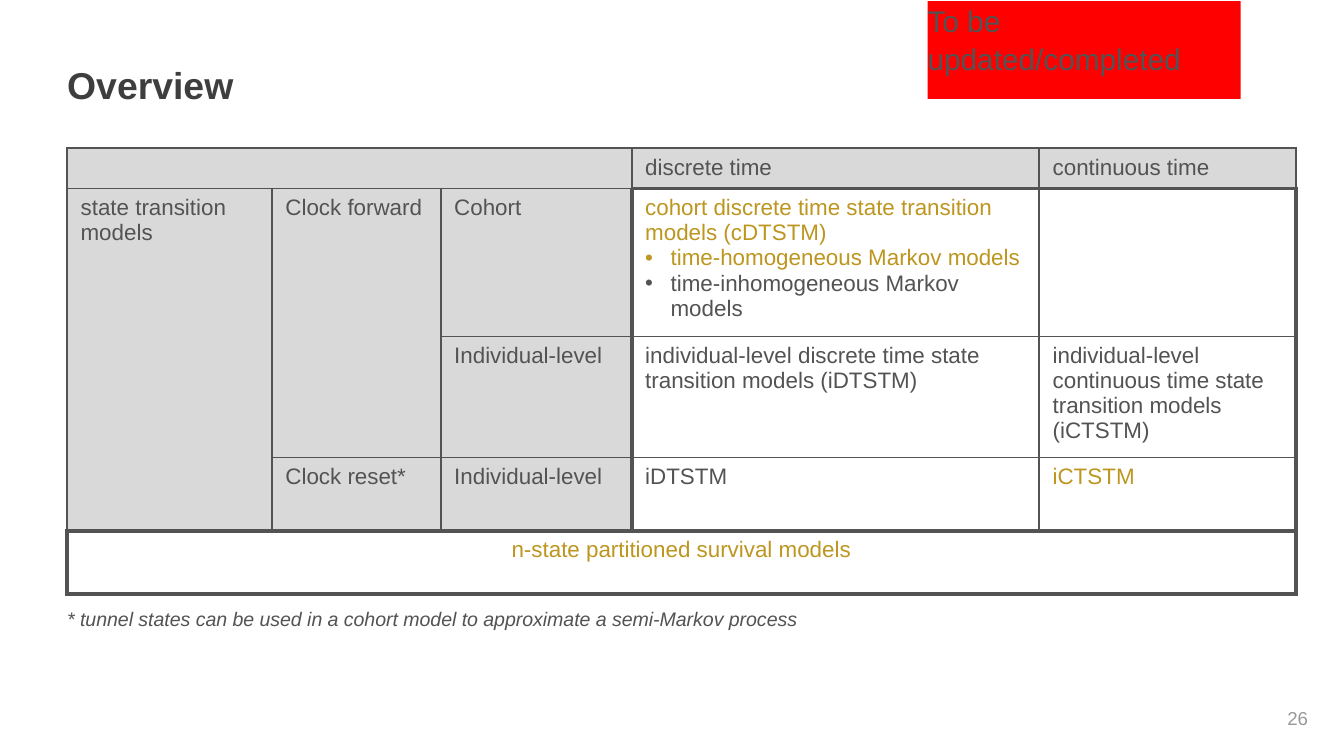
from lxml import etree
from pptx import Presentation
from pptx.dml.color import RGBColor
from pptx.enum.shapes import MSO_SHAPE
from pptx.enum.text import MSO_ANCHOR, PP_ALIGN
from pptx.oxml.ns import qn
from pptx.util import Cm, Pt

RECTANGLE = MSO_SHAPE.RECTANGLE
LEFT, CENTER, RIGHT = PP_ALIGN.LEFT, PP_ALIGN.CENTER, PP_ALIGN.RIGHT
TOP, MIDDLE = MSO_ANCHOR.TOP, MSO_ANCHOR.MIDDLE

COLORS = {
    "text": "535353", "title": "3E3E3E", "gold": "BD961F", "number": "999999",
    "header": "D9D9D9", "body": "FFFFFF", "alert": "FF0000",
}
COLUMN_WIDTHS = [3.87, 3.19, 3.61, 7.7, 4.85]
ROW_HEIGHTS = [0.72, 2.62, 2.16, 1.38, 1.2]
LABELS = [
    ["", "", "", "discrete time", "continuous time"],
    ["state transition models", "Clock forward", "Cohort",
     "cohort discrete time state transition models (cDTSTM)\n"
     "time-homogeneous Markov models\ntime-inhomogeneous Markov models", ""],
    ["", "", "Individual-level",
     "individual-level discrete time state transition models (iDTSTM)",
     "individual-level continuous time state transition models (iCTSTM)"],
    ["", "Clock reset*", "Individual-level", "iDTSTM", "iCTSTM"],
    ["n-state partitioned survival models", "", "", "", ""],
]
GOLD_TEXTS = {
    "cohort discrete time state transition models (cDTSTM)",
    "time-homogeneous Markov models", "iCTSTM", "n-state partitioned survival models",
}
MODELS, SURVIVAL = (1, 3, 3, 4), (4, 0, 4, 4)
FRAMES = [MODELS, SURVIVAL]
OPEN_BLOCKS = [(0, 0, 0, 2), (1, 0, 3, 0), (1, 1, 2, 1)]


def inside(block, row, column):
    """Tell whether a cell lies in a block of top, left, bottom and right indices."""
    top, left, bottom, right = block
    return top <= row <= bottom and left <= column <= right


def border_width(cell_place, neighbour):
    """Return the width in points of the edge between two grid places."""
    if any(inside(block, *cell_place) and inside(block, *neighbour) for block in OPEN_BLOCKS):
        return 0
    framed = any(inside(frame, *cell_place) != inside(frame, *neighbour) for frame in FRAMES)
    return 2.25 if framed else 1


class SlideBuilder:
    """Hold the style and the current slide."""

    font_name = "Arial"

    def __init__(self, presentation):
        """Add a title-only slide."""
        self.slide = presentation.slides.add_slide(presentation.slide_layouts[5])

    def format_paragraph(self, paragraph, size, color, align=LEFT, bold=False, italic=False):
        """Align a paragraph and style its runs."""
        paragraph.alignment = align
        for run in paragraph.runs:
            font = run.font
            font.name, font.size, font.bold, font.italic = self.font_name, Pt(size), bold, italic
            font.color.rgb = RGBColor.from_string(COLORS[color])

    def fill_frame(self, shape, text, size, color, anchor=TOP, inset=0, **style):
        """Write one styled paragraph into a shape."""
        frame = shape.text_frame
        frame.text = text
        frame.word_wrap = True
        frame.vertical_anchor = anchor
        frame.margin_left = frame.margin_right = Cm(inset)
        frame.margin_top = frame.margin_bottom = Cm(inset / 2)
        self.format_paragraph(frame.paragraphs[0], size, color, **style)

    def title(self, text, left, top, width, height):
        """Place and style the title placeholder."""
        shape = self.slide.shapes.title
        shape.left, shape.top, shape.width, shape.height = map(Cm, (left, top, width, height))
        self.fill_frame(shape, text, 20, "title", anchor=MIDDLE, bold=True)

    def text(self, text, box, size, color, **style):
        """Add a text box."""
        shape = self.slide.shapes.add_textbox(*map(Cm, box))
        self.fill_frame(shape, text, size, color, **style)

    def alert(self, text, box):
        """Add a filled notice rectangle."""
        shape = self.slide.shapes.add_shape(RECTANGLE, *map(Cm, box))
        shape.shadow.inherit = False
        shape.fill.solid()
        shape.fill.fore_color.rgb = RGBColor.from_string(COLORS["alert"])
        shape.line.fill.background()
        self.fill_frame(shape, text, 16, "text")
        shape.text_frame.paragraphs[0].line_spacing = 1.05

    def bullet(self, paragraph):
        """Give a paragraph a hanging bullet."""
        properties = paragraph._p.get_or_add_pPr()
        properties.set("marL", str(Cm(0.48)))
        properties.set("indent", str(-Cm(0.48)))
        etree.SubElement(properties, qn("a:buFont"), typeface=self.font_name)
        etree.SubElement(properties, qn("a:buChar"), char="•")

    def borders(self, cell, row, column):
        """Draw the four edges of a cell."""
        span = cell.span_width if cell.is_merge_origin else 1
        neighbours = {
            "a:lnL": (row, column - 1), "a:lnR": (row, column + span),
            "a:lnT": (row - 1, column), "a:lnB": (row + 1, column),
        }
        properties = cell._tc.get_or_add_tcPr()
        for tag, neighbour in neighbours.items():
            width = border_width((row, column), neighbour)
            line = etree.SubElement(properties, qn(tag), w=str(Pt(width)))
            if width:
                fill = etree.SubElement(line, qn("a:solidFill"))
                etree.SubElement(fill, qn("a:srgbClr"), val=COLORS["text"])
            else:
                etree.SubElement(line, qn("a:noFill"))

    def cell(self, cell, row, column):
        """Write and style one table cell."""
        if cell.is_spanned:
            cell.text_frame.paragraphs[0]._p.get_or_add_endParaRPr().set("sz", "1200")
            return
        cell.text_frame.text = LABELS[row][column]
        for index, paragraph in enumerate(cell.text_frame.paragraphs):
            if index:
                self.bullet(paragraph)
            color = "gold" if paragraph.text in GOLD_TEXTS else "text"
            align = CENTER if cell.is_merge_origin else LEFT
            self.format_paragraph(paragraph, 12, color, align)
            paragraph._p.get_or_add_endParaRPr().set("sz", "1200")
        self.borders(cell, row, column)
        color = "body" if any(inside(frame, row, column) for frame in FRAMES) else "header"
        cell.fill.solid()
        cell.fill.fore_color.rgb = RGBColor.from_string(COLORS[color])

    def table(self, left, top):
        """Add the table of model types."""
        size = sum(COLUMN_WIDTHS), sum(ROW_HEIGHTS)
        shape = self.slide.shapes.add_table(
            len(ROW_HEIGHTS), len(COLUMN_WIDTHS), *map(Cm, (left, top, *size)))
        table = shape.table
        table.first_row = table.horz_banding = False
        for table_column, width in zip(table.columns, COLUMN_WIDTHS):
            table_column.width = Cm(width)
        for table_row, height in zip(table.rows, ROW_HEIGHTS):
            table_row.height = Cm(height)
        table.cell(4, 0).merge(table.cell(4, 4))
        for row in range(len(ROW_HEIGHTS)):
            for column in range(len(COLUMN_WIDTHS)):
                self.cell(table.cell(row, column), row, column)


def main():
    """Build and save the overview slide."""
    presentation = Presentation()
    presentation.slide_width, presentation.slide_height = Cm(25.4), Cm(14.28)
    builder = SlideBuilder(presentation)
    builder.title("Overview", 1.27, 0, 21.16, 3.18)
    builder.text("26", (23.6, 13.18, 1.37, 0.76), 10, "number",
                 anchor=MIDDLE, inset=0.25, align=RIGHT)
    builder.table(1.27, 2.8)
    builder.alert("To be updated/completed", (17.53, 0.02, 5.92, 1.85))
    builder.text("* tunnel states can be used in a cohort model to approximate a semi-Markov process",
                 (1.27, 11.46, 20.32, 0.46), 10.5, "text", italic=True)
    presentation.save("out.pptx")


if __name__ == "__main__":
    main()
